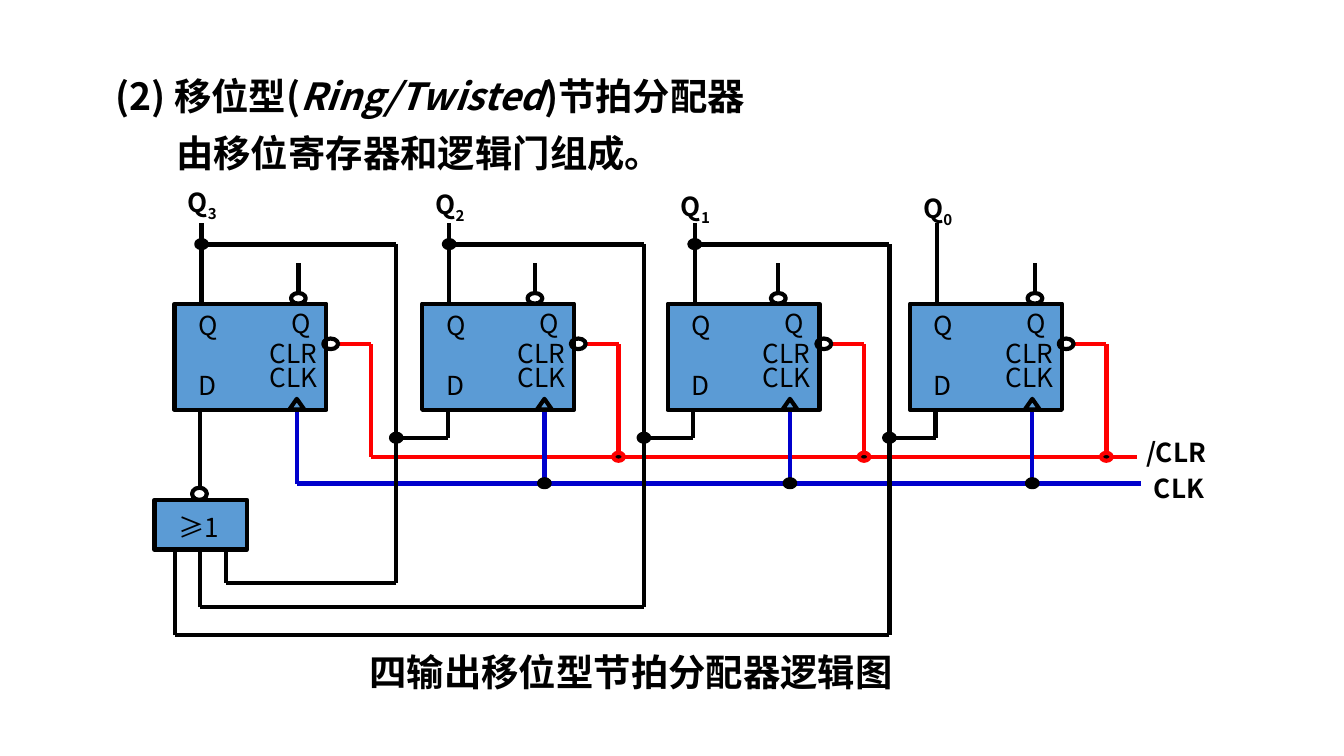
from itertools import pairwise

from pptx import Presentation
from pptx.dml.color import RGBColor
from pptx.enum.lang import MSO_LANGUAGE_ID as Language
from pptx.enum.shapes import MSO_CONNECTOR as Connector, MSO_SHAPE as Shape
from pptx.oxml.ns import qn
from pptx.util import Cm, Pt
from lxml import etree

BLACK = RGBColor(0x00, 0x00, 0x00)
RED = RGBColor(0xFF, 0x00, 0x00)
BLUE = RGBColor(0x00, 0x00, 0xCC)
FILL = RGBColor(0x5B, 0x9B, 0xD5)
HEADING_FONT = "Noto Sans CJK JP"
LABEL_FONT = "Noto Sans CJK SC"
LINE_WIDTH = Pt(2.25)

deck = Presentation()
deck.slide_width, deck.slide_height = Cm(25.4), Cm(14.29)
page = deck.slides.add_slide(deck.slide_layouts[6])


def add_text(left, top, width, *spans, height=0.86, font=LABEL_FONT, size=14,
             bold=False, line_spacing=None):
    """Add a one-paragraph text box; each span is (text, style), style "", "italic" or "sub"."""
    box = page.shapes.add_textbox(Cm(left), Cm(top), Cm(width), Cm(height))
    box.text_frame.word_wrap = True
    para = box.text_frame.paragraphs[0]
    para.line_spacing = line_spacing
    for text, style in spans:
        span = para.add_run()
        span.text = text
        span.font.name = font
        span.font.size = Pt(size)
        span.font.bold = bold
        span.font.italic = style == "italic"
        span.font.color.rgb = BLACK
        span.font.language_id = Language.SIMPLIFIED_CHINESE
        properties = span.font._element
        etree.SubElement(properties, qn("a:ea"), typeface=font)
        if style == "sub":
            properties.set("baseline", "-25000")


def add_wire(color, *points):
    """Join the points, given in centimetres, with straight connectors."""
    for (x1, y1), (x2, y2) in pairwise(points):
        wire = page.shapes.add_connector(Connector.STRAIGHT, Cm(x1), Cm(y1), Cm(x2), Cm(y2))
        wire.line.color.rgb = color
        wire.line.width = LINE_WIDTH
        etree.SubElement(wire._element.spPr, qn("a:effectLst"))


# Headings
add_text(1.93, 1.35, 19.48, ("(2) 移位型(", ""), ("Ring/Twisted", "italic"), (")节拍分配器", ""),
         height=1.42, font=HEADING_FONT, size=20, bold=True, line_spacing=0.9)
add_text(3.08, 2.34, 16.8, ("由移位寄存器和逻辑门组成。", ""),
         height=1.27, font=HEADING_FONT, size=20, bold=True)
add_text(6.73, 12.14, 16.71, ("四输出移位型节拍分配器逻辑图", ""),
         height=1.12, font=HEADING_FONT, size=20, bold=True)

# Grid of the circuit, in centimetres
stage_lefts = [3.3, 7.98, 12.62, 17.2]
stub_xs = [5.64, 10.11, 14.71, 19.56]
return_ys = [11.02, 11.48, 12.01]
stage_top, stage_width, stage_height = 5.74, 2.87, 2.01
stage_bottom = stage_top + stage_height
tap_y, data_y, clear_y, clock_y = 4.62, 8.28, 8.64, 9.14
gate_left, gate_top, gate_width, gate_height = 2.92, 9.45, 1.75, 0.94
gate_bottom = gate_top + gate_height

# Shapes are (kind, left, top, width, height, fill, line)
blocks = [(Shape.RECTANGLE, gate_left, gate_top, gate_width, gate_height, FILL, BLACK)]
bubbles = [(Shape.OVAL, 3.63, 9.22, 0.28, 0.23, None, BLACK)]
dot_centers = []

# Wires
add_wire(BLUE, (stage_lefts[0] + 2.31, clock_y), (21.56, clock_y))
add_wire(RED, (stage_lefts[0] + 3.71, clear_y), (21.49, clear_y))
for stage, (left, stub_x) in enumerate(zip(stage_lefts, stub_xs)):
    output_x, data_x = left + 0.51, left + 0.48
    clock_x, clear_x = left + 2.31, left + 3.71
    add_wire(BLACK, (output_x, 4.22), (output_x, stage_top))
    add_wire(BLACK, (stub_x, 4.98), (stub_x, 5.54))
    add_wire(RED, (left + 3.07, 6.51), (clear_x, 6.51), (clear_x, clear_y))
    add_wire(BLUE, (clock_x, stage_bottom), (clock_x, clock_y))
    if stage == 0:
        add_wire(BLACK, (data_x, stage_bottom), (data_x, 9.22))
    else:
        feedback_x = stage_lefts[stage - 1] + 4.19
        add_wire(BLACK, (data_x, stage_bottom), (data_x, data_y), (feedback_x, data_y))
        dot_centers += [(feedback_x, data_y, BLACK), (clear_x, clear_y, RED),
                        (clock_x, clock_y, BLACK)]
    if stage < len(return_ys):
        feedback_x, return_y = left + 4.19, return_ys[stage]
        gate_x = 4.27 - 0.485 * stage
        add_wire(BLACK, (output_x, tap_y), (feedback_x, tap_y), (feedback_x, return_y),
                 (gate_x, return_y), (gate_x, gate_bottom))
        dot_centers.append((output_x, tap_y, BLACK))
    blocks += [
        (Shape.RECTANGLE, left, stage_top, stage_width, stage_height, FILL, BLACK),
        (Shape.FLOWCHART_EXTRACT, left + 2.17, 7.54, 0.28, 0.2, None, BLACK),
    ]
    bubbles += [
        (Shape.OVAL, left + 2.81, 6.4, 0.28, 0.2, None, BLACK),
        (Shape.OVAL, stub_x - 0.14, 5.54, 0.28, 0.2, None, BLACK),
    ]

# Blocks, inversion bubbles and junction dots
dots = [(Shape.OVAL, x - 0.1, y - 0.08, 0.2, 0.15, BLACK, color) for x, y, color in dot_centers]
for kind, left, top, width, height, fill, color in blocks + dots + bubbles:
    shape = page.shapes.add_shape(kind, Cm(left), Cm(top), Cm(width), Cm(height))
    shape.shadow.inherit = False
    shape.line.color.rgb = color
    shape.line.width = LINE_WIDTH
    if fill is None:
        shape.fill.background()
    else:
        shape.fill.solid()
        shape.fill.fore_color.rgb = fill

# Labels
pin_labels = [("D", 0.2, 6.86, 0.64), ("Q", 0.2, 5.72, 0.64), ("Q", 1.96, 5.69, 0.64),
              ("CLR", 1.55, 6.25, 2.13), ("CLK", 1.55, 6.71, 2.13)]
for stage, left in enumerate(stage_lefts):
    for label, offset, top, width in pin_labels:
        add_text(left + offset, top, width, (label, ""))
    add_text(left, 3.4 + 0.04 * stage, 1.37, ("Q", ""), (str(3 - stage), "sub"), bold=True)
add_text(3.12, 9.55, gate_width, ("≥1", ""))
add_text(21.41, 8.13, 2.34, ("/CLR", ""), bold=True)
add_text(21.56, 8.81, 2.34, ("CLK", ""), bold=True)

deck.save("out.pptx")
